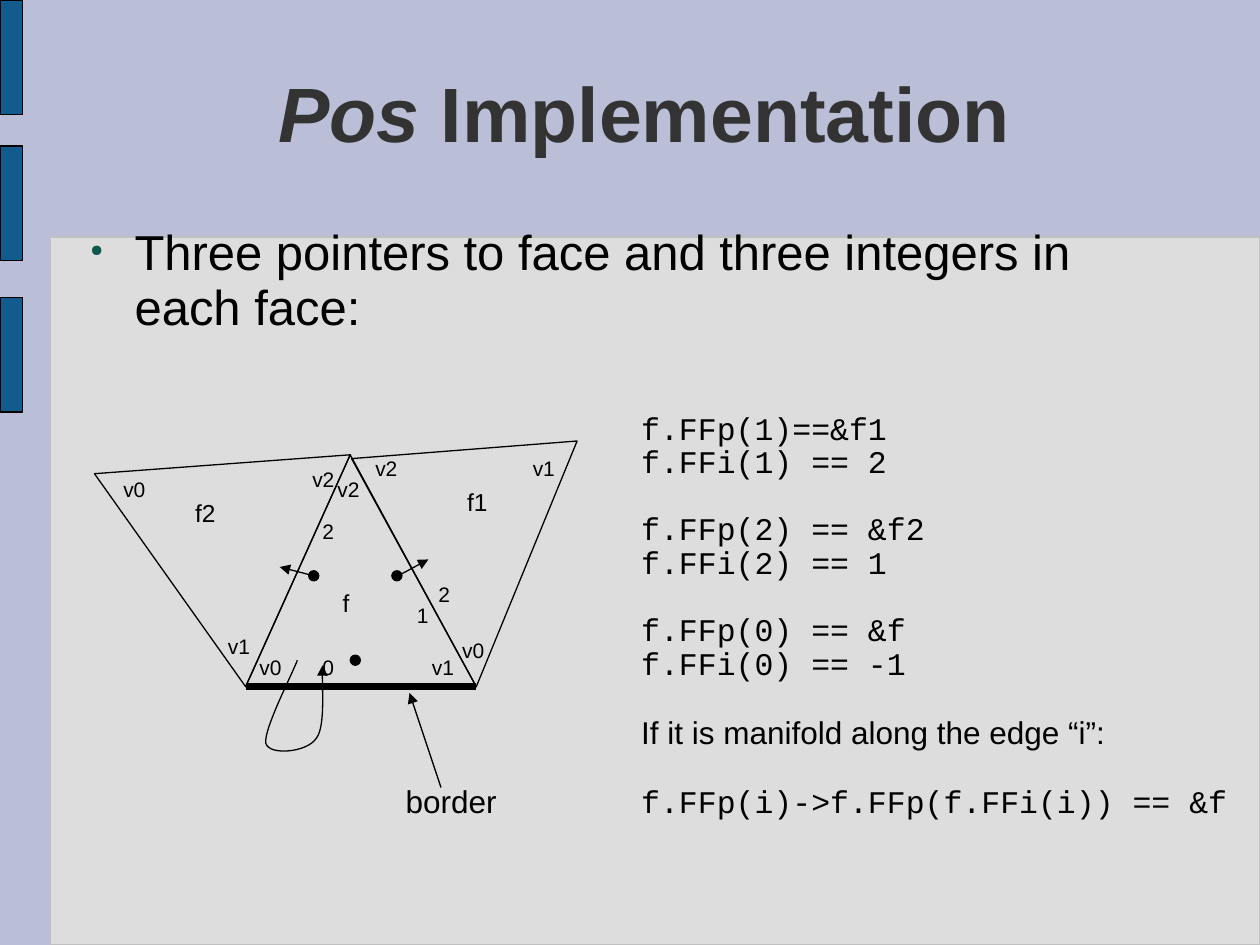
from dataclasses import dataclass
from lxml.etree import SubElement
from pptx import Presentation
from pptx.dml.color import RGBColor
from pptx.enum.shapes import MSO_CONNECTOR, MSO_SHAPE
from pptx.enum.text import MSO_ANCHOR, MSO_AUTO_SIZE, PP_ALIGN
from pptx.oxml.ns import qn
from pptx.util import Inches, Pt


@dataclass(frozen=True)
class Theme:
    background: str = "BABED6"
    panel: str = "DDDDDD"
    panel_edge: str = "C0C0C0"
    bar: str = "125C8D"
    title: str = "333333"
    ink: str = "000000"
    bullet: str = "0E594D"
    sans: str = "Arial"
    mono: str = "Courier New"
    title_size: float = 44
    body_size: float = 28
    text_size: float = 18
    face_size: float = 14
    label_size: float = 12
    thin: float = 0.75
    thick: float = 4.31
    spacing: float = 0.93
    code_spacing: float = 0.89
    tight: float = 0.81


THEME = Theme()
WIDTH, HEIGHT = Inches(10), Inches(7.5)
COLUMNS, ROWS = 100, 75
LEFT, APEX, RIGHT = (19.5, 54.5), (27.8, 36.1), (37.8, 54.5)
TRIANGLES = [
    (LEFT, APEX, RIGHT),
    ((27.9, 36.4), (45.8, 35), RIGHT),
    (APEX, (7.5, 37.6), LEFT),
]
DOTS = [(31.5, 45.7), (24.9, 45.7), (28.2, 52.4)]
ARROWS = [((31.6, 45.7), (34, 44.4)), ((24.9, 45.7), (22.2, 45)), ((35, 62.5), (32.5, 55))]
LOOP = [
    ((23.6, 52.4), (23.2, 53.5), (20.9, 57.9), (21.1, 59)),
    ((21.1, 59), (21.4, 60), (24.4, 59.7), (25.1, 58.6)),
    ((25.1, 58.6), (25.9, 57.6), (25.5, 54), (25.6, 52.8)),
]
VERTEX_LABELS = [
    ("v0", 19.6, 51.6), ("v1", 33.3, 51.6), ("v2", 25.8, 37.5),
    ("v1", 17.1, 50), ("v2", 23.8, 36.7), ("v0", 8.8, 37.5),
    ("v1", 41.3, 35.8), ("v2", 28.8, 35.8), ("v0", 35.7, 50.3),
]
EDGE_LABELS = [("0", 24.6, 51.6), ("1", 32.1, 47.5), ("2", 24.6, 40.8), ("2", 33.8, 45.8)]
FACE_LABELS = [("f1", 36.1, 38.4, 3.7), ("f2", 14.5, 39.2, 3.7), ("f", 26.2, 46.4, 2.5)]
CODE_GROUPS = [
    ["f.FFp(1)==&f1", "f.FFi(1) == 2"],
    ["f.FFp(2) == &f2", "f.FFi(2) == 1"],
    ["f.FFp(0) == &f", "f.FFi(0) == -1"],
]


def color(code):
    return RGBColor.from_string(code)


def across(columns):
    return round(WIDTH * columns / COLUMNS)


def down(rows):
    return round(HEIGHT * rows / ROWS)


def place(left, top, width, height):
    return across(left), down(top), across(width), down(height)


def style_line(shape, code=THEME.ink, weight=THEME.thin, arrow=False):
    shape.line.color.rgb = color(code)
    shape.line.width = Pt(weight)
    if arrow:
        SubElement(shape._element.spPr.find(qn("a:ln")), qn("a:tailEnd"), type="triangle")


def add_block(page, kind, area, fill, edge=THEME.ink):
    block = page.shapes.add_shape(kind, *place(*area))
    block.shadow.inherit = False
    block.fill.solid()
    block.fill.fore_color.rgb = color(fill)
    style_line(block, edge)


def add_outline(page, points, close=False, arrow=False):
    spots = [(across(x), down(y)) for x, y in points]
    builder = page.shapes.build_freeform(*spots[0], scale=1.0)
    builder.add_line_segments(spots[1:], close=close)
    outline = builder.convert_to_shape()
    outline.shadow.inherit = False
    outline.fill.background()
    style_line(outline, arrow=arrow)


def add_segment(page, start, end, weight=THEME.thin, arrow=False):
    ends = [across(start[0]), down(start[1]), across(end[0]), down(end[1])]
    segment = page.shapes.add_connector(MSO_CONNECTOR.STRAIGHT, *ends)
    style_line(segment, weight=weight, arrow=arrow)
    SubElement(segment._element.spPr, qn("a:effectLst"))


def curve_points(start, first, second, end, steps=16):
    for step in range(steps + 1):
        t = step / steps
        weights = ((1 - t) ** 3, 3 * t * (1 - t) ** 2, 3 * t * t * (1 - t), t ** 3)
        yield tuple(
            sum(weight * value for weight, value in zip(weights, values))
            for values in zip(start, first, second, end)
        )


def write(para, text, size=THEME.text_size, font=THEME.sans, code=THEME.ink,
          bold=False, italic=False, spacing=THEME.spacing, before=0, after=0):
    para.line_spacing = spacing
    para.space_before, para.space_after = Pt(before), Pt(after)
    span = para.add_run()
    span.text = text
    span.font.size, span.font.name = Pt(size), font
    span.font.bold, span.font.italic = bold, italic
    span.font.color.rgb = color(code)


def indent(para, left, first):
    properties = para._p.get_or_add_pPr()
    properties.set("marL", str(Inches(left)))
    properties.set("indent", str(Inches(first)))
    return properties


def add_box(page, area, wrap=False, grow=True):
    box = page.shapes.add_textbox(*place(*area))
    frame = box.text_frame
    frame.word_wrap = wrap
    frame.auto_size = MSO_AUTO_SIZE.SHAPE_TO_FIT_TEXT if grow else MSO_AUTO_SIZE.NONE
    return frame


def add_label(page, text, area, grow=True, **style):
    write(add_box(page, area, grow=grow).paragraphs[0], text, **style)


def add_title(page):
    title = page.shapes.title
    title.left, title.top, title.width, title.height = place(5, 3, 90, 12.5)
    frame = title.text_frame
    frame.vertical_anchor = MSO_ANCHOR.MIDDLE
    frame.auto_size = MSO_AUTO_SIZE.NONE
    para = frame.paragraphs[0]
    para.alignment = PP_ALIGN.CENTER
    indent(para, 0.47, -0.24)
    for text, italic in (("Pos", True), (" Implementation", False)):
        write(para, text, size=THEME.title_size, code=THEME.title, bold=True, italic=italic)


def add_statement(page):
    para = add_box(page, (5, 17.5, 90, 49.5), wrap=True, grow=False).paragraphs[0]
    write(para, "Three pointers to face and three integers in each face:",
          size=THEME.body_size, before=7, after=5.2)
    properties = indent(para, 0.47, -0.35)
    SubElement(SubElement(properties, qn("a:buClr")), qn("a:srgbClr"), val=THEME.bullet)
    SubElement(properties, qn("a:buSzPct"), val="33000")
    SubElement(properties, qn("a:buChar"), char="●")


def add_code(page):
    frame = add_box(page, (49.9, 32.3, 48.5, 38.6))
    code = dict(font=THEME.mono, spacing=THEME.code_spacing)
    lines = [(text, dict(code, before=19.2 if group and not row else 0))
             for group, texts in enumerate(CODE_GROUPS) for row, text in enumerate(texts)]
    lines.append(("If it is manifold along the edge “i”:", dict(before=19.8)))
    lines.append(("f.FFp(i)->f.FFp(f.FFi(i)) == &f", dict(code, before=20)))
    for number, (text, style) in enumerate(lines):
        write(frame.add_paragraph() if number else frame.paragraphs[0], text, **style)


def add_mesh(page):
    for corners in TRIANGLES:
        add_outline(page, corners, close=True)
    for left, top in ((x - 0.4, y - 0.4) for x, y in DOTS):
        add_block(page, MSO_SHAPE.OVAL, (left, top, 0.8, 0.8), THEME.ink)
    for start, end in ARROWS:
        add_segment(page, start, end, arrow=True)
    add_outline(page, [point for part in LOOP for point in curve_points(*part)], arrow=True)
    add_segment(page, LEFT, RIGHT, weight=THEME.thick)
    for labels, width in ((VERTEX_LABELS, 3.9), (EDGE_LABELS, 2.9)):
        for text, left, top in labels:
            add_label(page, text, (left, top, width, 2.9), size=THEME.label_size)
    for text, left, top, width in FACE_LABELS:
        add_label(page, text, (left, top, width, 3.2), size=THEME.face_size)
    add_label(page, "border", (31.2, 62.1, 9.2, 3.8), grow=False, spacing=THEME.tight)


def main():
    deck = Presentation()
    deck.slide_width, deck.slide_height = WIDTH, HEIGHT
    page = deck.slides.add_slide(deck.slide_layouts[5])
    page.background.fill.solid()
    page.background.fill.fore_color.rgb = color(THEME.background)
    add_block(page, MSO_SHAPE.RECTANGLE, (4, 18.8, 96, 56.2), THEME.panel, THEME.panel_edge)
    for top in (0, 11.6, 23.6):
        add_block(page, MSO_SHAPE.RECTANGLE, (0, top, 1.8, 9.1), THEME.bar)
    add_title(page)
    add_statement(page)
    add_mesh(page)
    add_code(page)
    deck.save("out.pptx")


if __name__ == "__main__":
    main()
